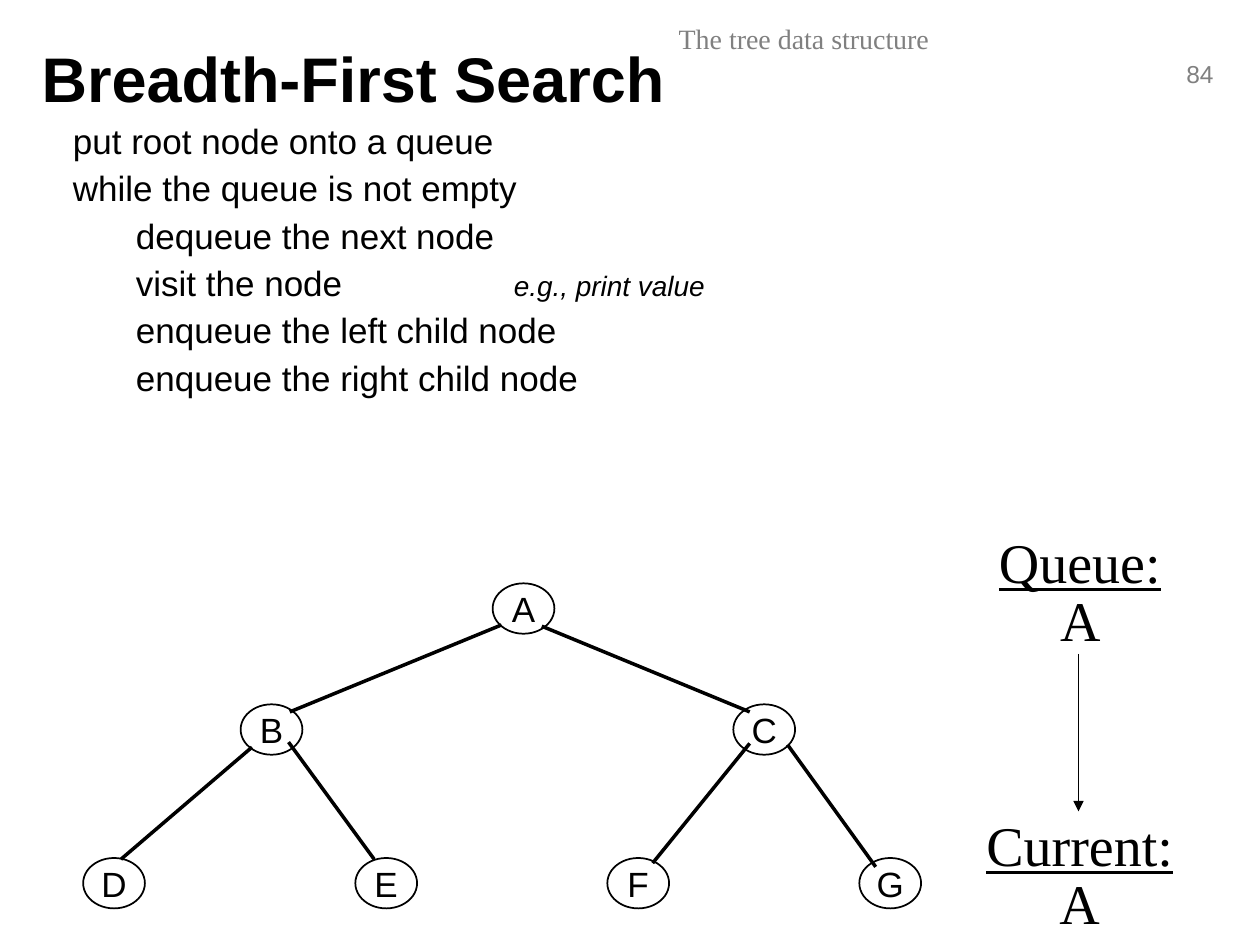
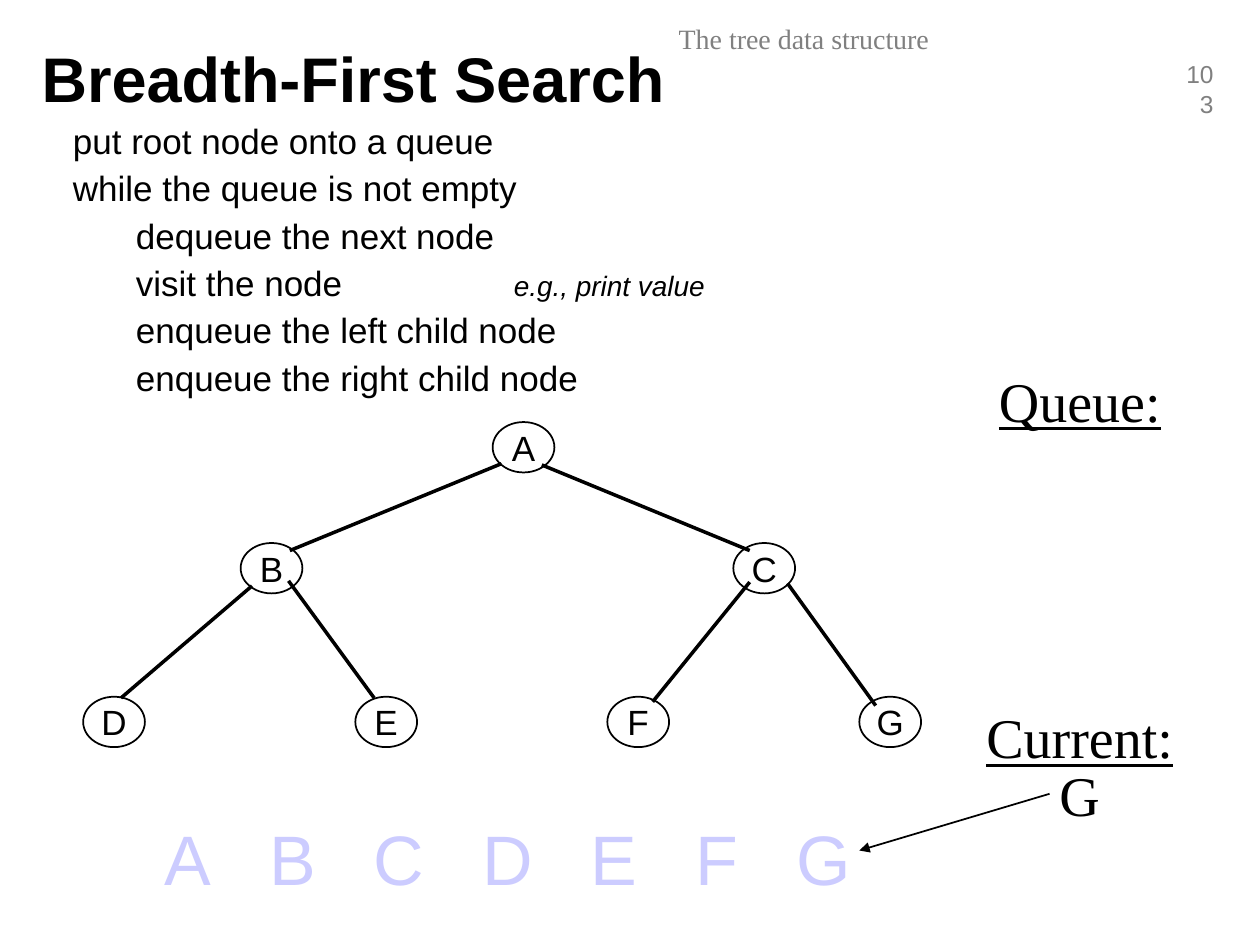
from itertools import accumulate

from lxml import etree
from pptx import Presentation
from pptx.dml.color import RGBColor
from pptx.enum.shapes import MSO_CONNECTOR as CONN, MSO_SHAPE as SHAPE
from pptx.enum.text import MSO_ANCHOR as ANCHOR, PP_ALIGN as ALIGN
from pptx.oxml.ns import qn
from pptx.util import Inches, Pt

SANS, SERIF = "Arial", "Times New Roman"
BLACK, WHITE, GREY, LILAC = "000000", "FFFFFF", "808080", "CCCCFF"

NODE_W, NODE_H = 0.49, 0.4
NODES = {
    "A": (3.25, 0), "B": (1.25, 0.96), "C": (5.16, 0.96),
    "D": (0, 2.18), "E": (2.16, 2.18), "F": (4.16, 2.18), "G": (6.16, 2.18),
}
EDGES = [
    (3.32, 0.33, 1.64, 1.02), (3.64, 0.34, 5.29, 1.02),
    (1.34, 1.3, 0.3, 2.19), (5.29, 1.27, 4.52, 2.22),
    (5.59, 1.28, 6.29, 2.25), (1.63, 1.26, 2.31, 2.19),
]
STEPS = [
    (1, "put root node onto a queue", ""),
    (1, "while the queue is not empty", ""),
    (2, "dequeue the next node", ""),
    (2, "visit the node\t\t", "e.g., print value"),
    (2, "enqueue the left child node", ""),
    (2, "enqueue the right child node", ""),
]
LETTER_ADVANCES = [0.83, 0.83, 0.86, 0.86, 0.83, 0.8]


def rgb(color):
    return RGBColor.from_string(color)


def add_run(p, text, size, font=SANS, color=BLACK, **styles):
    r = p.add_run()
    r.text = text
    r.font.size, r.font.name = Pt(size), font
    r.font.color.rgb = rgb(color)
    for name, value in styles.items():
        setattr(r.font, name, value)
    return r


def add_box(slide, box, wrap=False):
    sp = slide.shapes.add_textbox(*map(Inches, box))
    sp.text_frame.word_wrap = wrap
    return sp.text_frame


def add_line(slide, ends, width, arrow=False):
    line = slide.shapes.add_connector(CONN.STRAIGHT, *map(Inches, ends))
    line.line.color.rgb = rgb(BLACK)
    line.line.width = Pt(width)
    if arrow:
        etree.SubElement(line.line._get_or_add_ln(), qn("a:tailEnd"), type="triangle")
    etree.SubElement(line._element.spPr, qn("a:effectLst"))


def add_frame(slide, number):
    p = add_box(slide, (9.29, 0.42, 0.44, 0.33), wrap=True).paragraphs[0]
    p.alignment = ALIGN.RIGHT
    add_run(p, number, 14, color=GREY)

    p = add_box(slide, (3.19, 0.12, 6.38, 0.4), wrap=True).paragraphs[0]
    p.alignment = ALIGN.CENTER
    add_run(p, "The tree data structure", 16, SERIF, GREY)

    title = slide.shapes.title
    title.left, title.top, title.width, title.height = map(Inches, (0.23, 0.15, 8.03, 0.93))
    tf = title.text_frame
    tf.vertical_anchor = ANCHOR.MIDDLE
    p = tf.paragraphs[0]
    p.alignment = ALIGN.LEFT
    add_run(p, "Breadth-First Search", 36, bold=True)


def add_algorithm(slide, box):
    tf = add_box(slide, box)
    tf.margin_top = Inches(0.09)
    for i, (level, text, remark) in enumerate(STEPS):
        p = tf.add_paragraph() if i else tf.paragraphs[0]
        p.level = level
        pPr = p._p.get_or_add_pPr()
        pPr.set("marL", str(Inches(level * 0.5)))
        pPr.set("indent", "0")
        pPr.set("defTabSz", str(Inches(1)))
        if i:
            p.space_before = Pt(3)
        add_run(p, text, 20)
        if remark:
            add_run(p, remark, 16, italic=True)


def add_tree(slide, left, top):
    for name, (x, y) in NODES.items():
        box = (left + x, top + y, NODE_W, NODE_H)
        sp = slide.shapes.add_shape(SHAPE.OVAL, *map(Inches, box))
        sp.shadow.inherit = False
        sp.fill.solid()
        sp.fill.fore_color.rgb = rgb(WHITE)
        sp.line.color.rgb = rgb(BLACK)
        sp.line.width = Pt(1)
        tf = sp.text_frame
        tf.margin_left = tf.margin_right = tf.margin_top = tf.margin_bottom = 0
        tf.word_wrap = False
        tf.vertical_anchor = ANCHOR.MIDDLE
        p = tf.paragraphs[0]
        p.alignment = ALIGN.CENTER
        add_run(p, name, 20)
    for x1, y1, x2, y2 in EDGES:
        add_line(slide, (left + x1, top + y1, left + x2, top + y2), 2)


def add_state(slide, heading, value, box):
    left, top, width, height = box
    add_run(add_box(slide, box).paragraphs[0], heading, 32, SERIF, underline=True)
    if value:
        value_box = (left + (width - 0.53) / 2, top + 0.46, 0.53, height)
        add_run(add_box(slide, value_box).paragraphs[0], value, 32, SERIF)


def add_visited(slide, letters, box):
    p = add_box(slide, box).paragraphs[0]
    tabs = etree.SubElement(p._p.get_or_add_pPr(), qn("a:tabLst"))
    for stop in accumulate(LETTER_ADVANCES):
        etree.SubElement(tabs, qn("a:tab"), pos=str(Inches(stop)), algn="l")
    r = add_run(p, "\t".join(letters), 40, color=LILAC)
    effects = etree.Element(qn("a:effectLst"))
    shadow = etree.SubElement(effects, qn("a:outerShdw"), dist="25400", dir="2700000")
    etree.SubElement(shadow, qn("a:srgbClr"), val=BLACK)
    r._r.rPr.find(qn("a:solidFill")).addnext(effects)


def add_search_slide(prs, number, tree_top, queued, current, current_top, arrow, visited=""):
    slide = prs.slides.add_slide(prs.slide_layouts[5])
    add_frame(slide, number)
    add_tree(slide, 0.66, tree_top)
    add_state(slide, "Queue:", queued, (7.83, tree_top - 0.49, 1.5, 0.64))
    add_state(slide, "Current:", current, (7.73, current_top, 1.69, 0.64))
    add_line(slide, arrow, 1, arrow=True)
    if visited:
        add_visited(slide, visited, (1.21, 6.42, 5.66, 0.76))
    add_algorithm(slide, (-0.02, 0.86, 5.78, 2.29))


def main():
    prs = Presentation()
    prs.slide_width, prs.slide_height = Inches(10), Inches(7.5)
    add_search_slide(prs, "84", 4.63, "A", "A", 6.38, (8.56, 5.19, 8.56, 6.44))
    add_search_slide(prs, "103", 3.35, "", "G", 5.53, (8.33, 6.3, 6.82, 6.75), "ABCDEFG")
    prs.save("out.pptx")


if __name__ == "__main__":
    main()
